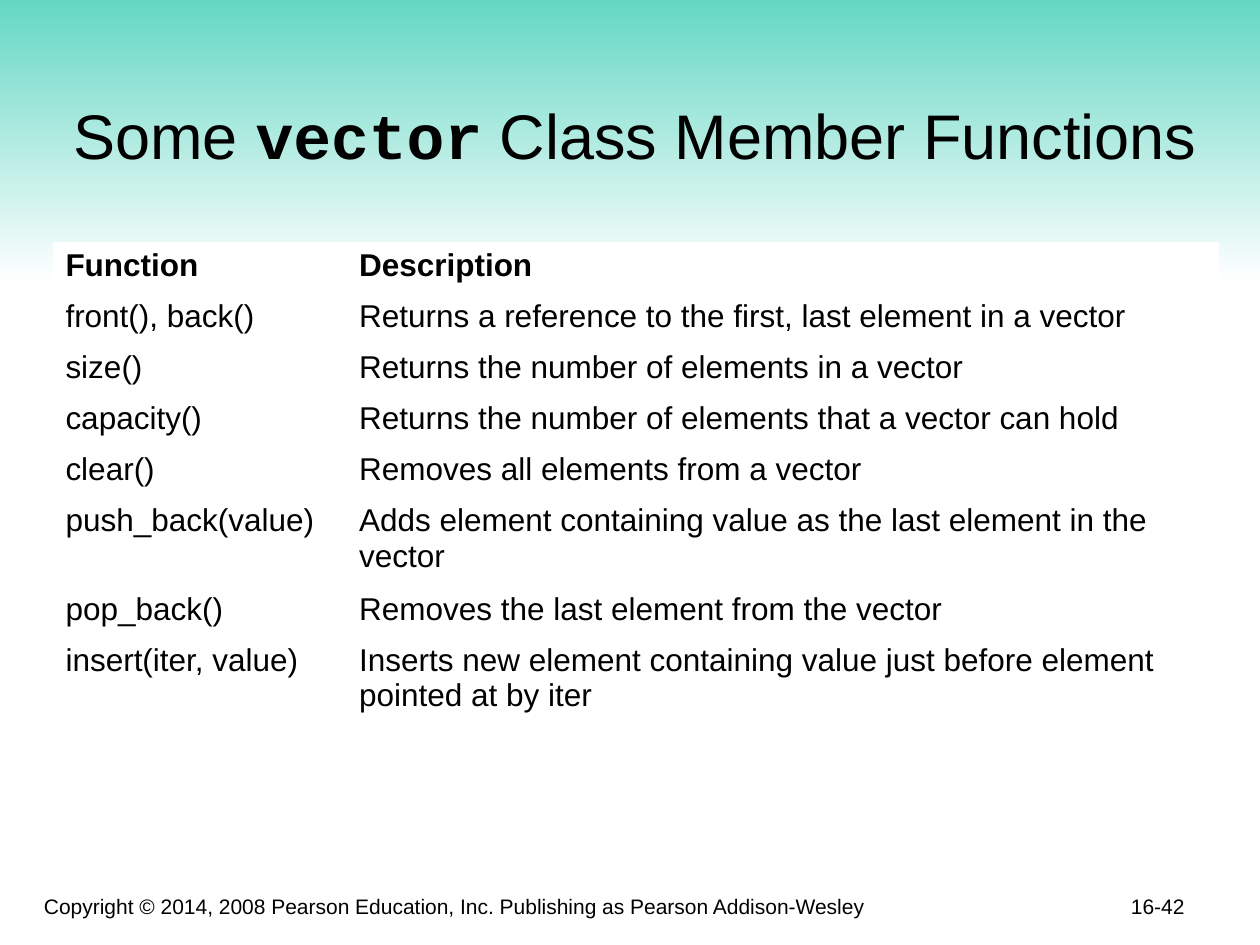
import dataclasses

import pptx
import pptx.dml.color
import pptx.enum.shapes
import pptx.enum.text
import pptx.oxml
import pptx.oxml.ns
import pptx.util

Inches = pptx.util.Inches
Pt = pptx.util.Pt
Align = pptx.enum.text.PP_ALIGN
Anchor = pptx.enum.text.MSO_ANCHOR


@dataclasses.dataclass(frozen=True)
class Theme:
    """Colours, fonts and sizes of the deck."""
    ink: str = "000000"
    paper: str = "FFFFFF"
    mint: str = "5FD6C2"
    body: str = "Arial"
    code: str = "Courier New"
    title_size: float = 36
    table_size: float = 18
    footer_size: float = 12
    thin: float = 0.45
    thick: float = 1.47


class Deck:
    """Draws styled elements on the current slide."""

    def __init__(self, prs, theme):
        self.prs = prs
        self.theme = theme
        self.s = None

    def add_slide(self):
        """Start a title-only slide."""
        self.s = self.prs.slides.add_slide(self.prs.slide_layouts[5])

    def run(self, p, text, size, bold=False, font=None):
        """Append one formatted run."""
        r = p.add_run()
        r.text = text
        r.font.size = Pt(size)
        r.font.bold = bold
        r.font.name = font or self.theme.body
        r.font.color.rgb = pptx.dml.color.RGBColor.from_string(self.theme.ink)

    def band(self, x, y, w, h):
        """Draw the header gradient behind the title."""
        kind = pptx.enum.shapes.MSO_SHAPE.RECTANGLE
        sp = self.s.shapes.add_shape(kind, Inches(x), Inches(y), Inches(w), Inches(h))
        sp.shadow.inherit = False
        sp.line.fill.background()
        sp.fill.gradient()
        sp.fill.gradient_angle = 270
        for stop, color in zip(sp.fill.gradient_stops, (self.theme.mint, self.theme.paper)):
            stop.color.rgb = pptx.dml.color.RGBColor.from_string(color)
        self.s.shapes.title.element.addprevious(sp.element)

    def title(self, x, y, w, h, parts):
        """Place the title, given as (text, is_code) parts."""
        sp = self.s.shapes.title
        sp.left, sp.top, sp.width, sp.height = map(Inches, (x, y, w, h))
        tf = sp.text_frame
        tf.auto_size = pptx.enum.text.MSO_AUTO_SIZE.NONE
        tf.vertical_anchor = Anchor.BOTTOM
        p = tf.paragraphs[0]
        p.alignment = Align.CENTER
        for text, is_code in parts:
            font = self.theme.code if is_code else self.theme.body
            self.run(p, text, self.theme.title_size, is_code, font)

    def footer(self, x, y, w, h, text, align=Align.LEFT):
        """Add a bottom-anchored footer text."""
        tf = self.s.shapes.add_textbox(Inches(x), Inches(y), Inches(w), Inches(h)).text_frame
        tf.word_wrap = True
        tf.vertical_anchor = Anchor.BOTTOM
        p = tf.paragraphs[0]
        p.alignment = align
        self.run(p, text, self.theme.footer_size)

    def border(self, cell, side, width):
        """Add one cell border."""
        ns = pptx.oxml.ns.nsdecls("a")
        cell._tc.get_or_add_tcPr().append(pptx.oxml.parse_xml(
            f'<a:{side} {ns} w="{Pt(width)}"><a:solidFill>'
            f'<a:srgbClr val="{self.theme.paper}"/></a:solidFill></a:{side}>'))

    def table(self, x, y, widths, heights, rows):
        """Add a table whose first row is a bold header."""
        t = self.theme
        table = self.s.shapes.add_table(
            len(rows), len(widths), Inches(x), Inches(y),
            Inches(sum(widths)), Inches(sum(heights))).table
        table.first_row = table.horz_banding = False
        for col, width in zip(table.columns, widths):
            col.width = Inches(width)
        for i, (row, height) in enumerate(zip(rows, heights)):
            table.rows[i].height = Inches(height)
            top = t.thick if i == 1 else t.thin
            bottom = t.thick if i == 0 else t.thin
            sides = {"lnL": t.thin, "lnR": t.thin, "lnT": top, "lnB": bottom}
            for j, text in enumerate(row):
                cell = table.cell(i, j)
                for side, width in sides.items():
                    self.border(cell, side, width)
                cell.fill.solid()
                cell.fill.fore_color.rgb = pptx.dml.color.RGBColor.from_string(t.paper)
                self.run(cell.text_frame.paragraphs[0], text, t.table_size, bold=i == 0)


FUNCTIONS = [
    ("Function", "Description"),
    ("front(), back()", "Returns a reference to the first, last element in a vector"),
    ("size()", "Returns the number of elements in a vector"),
    ("capacity()", "Returns the number of elements that a vector can hold"),
    ("clear()", "Removes all elements from a vector"),
    ("push_back(value)", "Adds element containing value as the last element in the vector"),
    ("pop_back()", "Removes the last element from the vector"),
    ("insert(iter, value)",
     "Inserts new element containing value just before element pointed at by iter"),
]


def main():
    """Build and save the slide."""
    prs = pptx.Presentation()
    prs.slide_width, prs.slide_height = Inches(10), Inches(7.5)
    deck = Deck(prs, Theme())
    deck.add_slide()
    deck.band(0, -0.08, 10, 2.33)
    deck.footer(0.25, 6.92, 6.75, 0.42,
                "Copyright © 2014, 2008 Pearson Education, Inc. "
                "Publishing as Pearson Addison-Wesley")
    deck.title(0.33, 0.33, 9.42, 1.09,
               [("Some ", False), ("vector", True), (" Class Member Functions", False)])
    one_line, two_lines = 0.405, 0.7
    heights = [two_lines if len(text) > 60 else one_line for _, text in FUNCTIONS]
    deck.table(0.42, 1.92, [2.33, 6.92], heights, FUNCTIONS)
    deck.footer(7.42, 6.84, 2.08, 0.5, "16-42", Align.RIGHT)
    prs.save("out.pptx")


if __name__ == "__main__":
    main()
